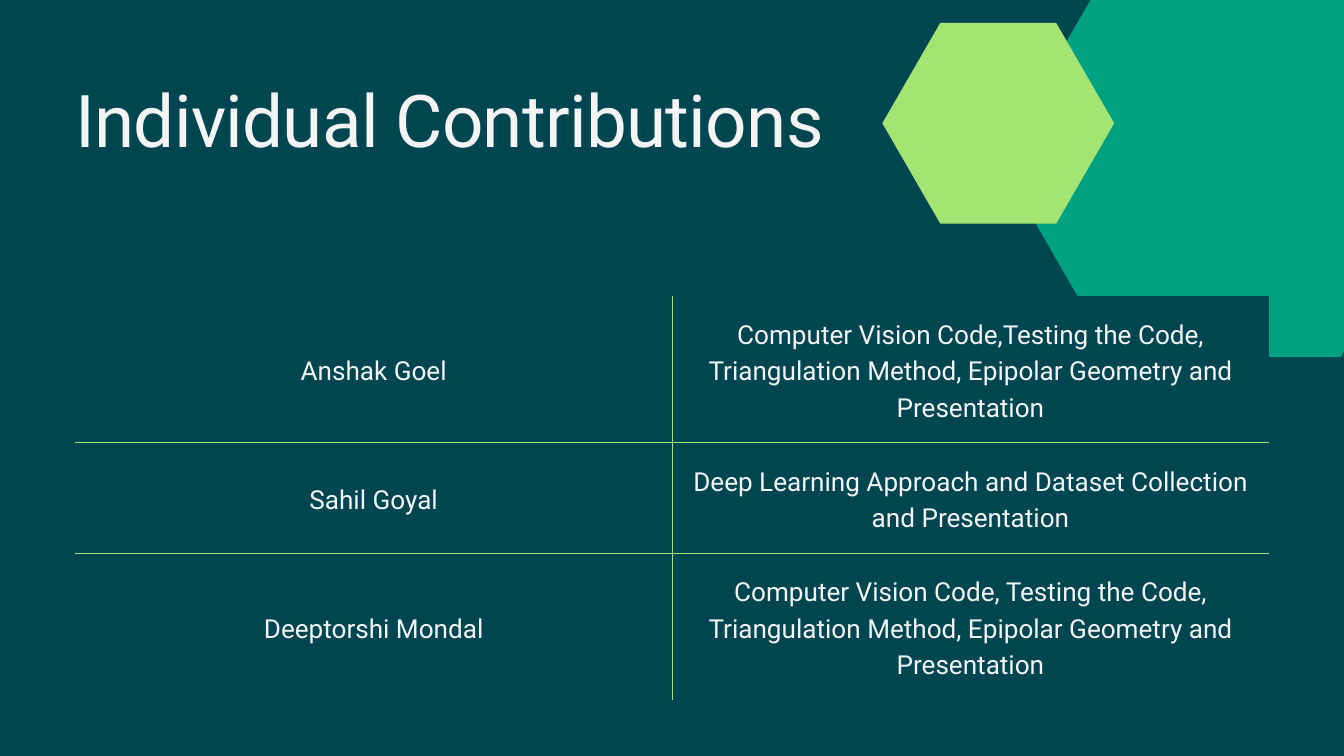
import pptx
import pptx.util
from lxml import etree
from pptx.dml.color import RGBColor
from pptx.enum.shapes import MSO_SHAPE
from pptx.enum.text import MSO_ANCHOR, PP_ALIGN
from pptx.oxml.ns import qn
from pptx.util import Inches, Pt

DARK = RGBColor(0x00, 0x46, 0x51)
GREEN = RGBColor(0x00, 0xA1, 0x81)
LIME = RGBColor(0xA4, 0xE4, 0x73)
WHITE = RGBColor(0xF4, 0xF4, 0xF4)
FONT = "Roboto"

WIDTH, HEIGHT = 20, 11.25
MARGIN = 1.12
CONTENT = WIDTH - 2 * MARGIN
HEX_RATIO = 3 ** 0.5 / 2

CONTRIBUTIONS = [
    ("Anshak Goel",
     "Computer Vision Code,Testing the Code, Triangulation Method, "
     "Epipolar Geometry and Presentation", 2.18),
    ("Sahil Goyal",
     "Deep Learning Approach and Dataset Collection and Presentation", 1.65),
    ("Deeptorshi Mondal",
     "Computer Vision Code, Testing the Code, Triangulation Method, "
     "Epipolar Geometry and Presentation", 2.18),
]


def style_paragraph(p, size, leading):
    p.line_spacing = Pt(leading)
    p.font.name = FONT
    p.font.size = Pt(size)
    p.font.color.rgb = WHITE


def add_hexagon(s, left, top, width, color):
    """Add a regular hexagon with flat top and bottom."""
    sp = s.shapes.add_shape(MSO_SHAPE.HEXAGON, Inches(left), Inches(top),
                            Inches(width), Inches(width * HEX_RATIO))
    sp.adjustments[0] = 0.25 / HEX_RATIO
    sp.shadow.inherit = False
    sp.fill.solid()
    sp.fill.fore_color.rgb = color
    sp.line.fill.background()


def add_title(s, text):
    box = s.shapes.add_textbox(Inches(MARGIN), Inches(1.11),
                               Inches(12.01), Inches(1.3))
    tf = box.text_frame
    tf.word_wrap = True
    tf.margin_left = tf.margin_top = tf.margin_right = tf.margin_bottom = 0
    p = tf.paragraphs[0]
    r = p.add_run()
    r.text = text
    style_paragraph(p, 78, 93.6)
    r.font._element.set("spc", "-80")


def set_borders(cell, inner_sides):
    """Rule the inner sides (of L, R, T, B) and leave the others bare."""
    tc_pr = cell._tc.get_or_add_tcPr()
    for side in "LRTB":
        ln = etree.SubElement(tc_pr, qn(f"a:ln{side}"))
        if side in inner_sides:
            ln.set("w", str(Pt(0.75)))
            fill = etree.SubElement(ln, qn("a:solidFill"))
            etree.SubElement(fill, qn("a:srgbClr"), val=str(LIME))
        else:
            ln.set("w", "0")
            etree.SubElement(ln, qn("a:noFill"))


def fill_cell(cell, text, inner_sides):
    set_borders(cell, inner_sides)
    cell.fill.solid()
    cell.fill.fore_color.rgb = DARK
    cell.vertical_anchor = MSO_ANCHOR.MIDDLE
    cell.margin_left = cell.margin_right = Inches(0.21)
    cell.margin_top = cell.margin_bottom = Inches(0.21)
    cell.text = text
    p = cell.text_frame.paragraphs[0]
    p.alignment = PP_ALIGN.CENTER
    style_paragraph(p, 28, 39.2)


def add_contributions(s, top):
    last = len(CONTRIBUTIONS) - 1
    height = sum(row[-1] for row in CONTRIBUTIONS)
    table = s.shapes.add_table(last + 1, 2, Inches(MARGIN), Inches(top),
                               Inches(CONTENT), Inches(height)).table
    table.first_row = table.horz_banding = False
    for column in table.columns:
        column.width = Inches(CONTENT / 2)
    for i, (name, work, row_height) in enumerate(CONTRIBUTIONS):
        table.rows[i].height = Inches(row_height)
        sides = ("T" if i > 0 else "") + ("B" if i < last else "")
        fill_cell(table.cell(i, 0), name, sides + "R")
        fill_cell(table.cell(i, 1), work, sides + "L")


def main():
    prs = pptx.Presentation()
    prs.slide_width, prs.slide_height = Inches(WIDTH), Inches(HEIGHT)
    s = prs.slides.add_slide(prs.slide_layouts[6])
    s.background.fill.solid()
    s.background.fill.fore_color.rgb = DARK

    add_hexagon(s, 14.86, -0.57, 6.79, GREEN)
    add_hexagon(s, 13.13, 0.34, 3.45, LIME)
    add_contributions(s, 4.4)
    add_title(s, "Individual Contributions")
    prs.save("out.pptx")


if __name__ == "__main__":
    main()
